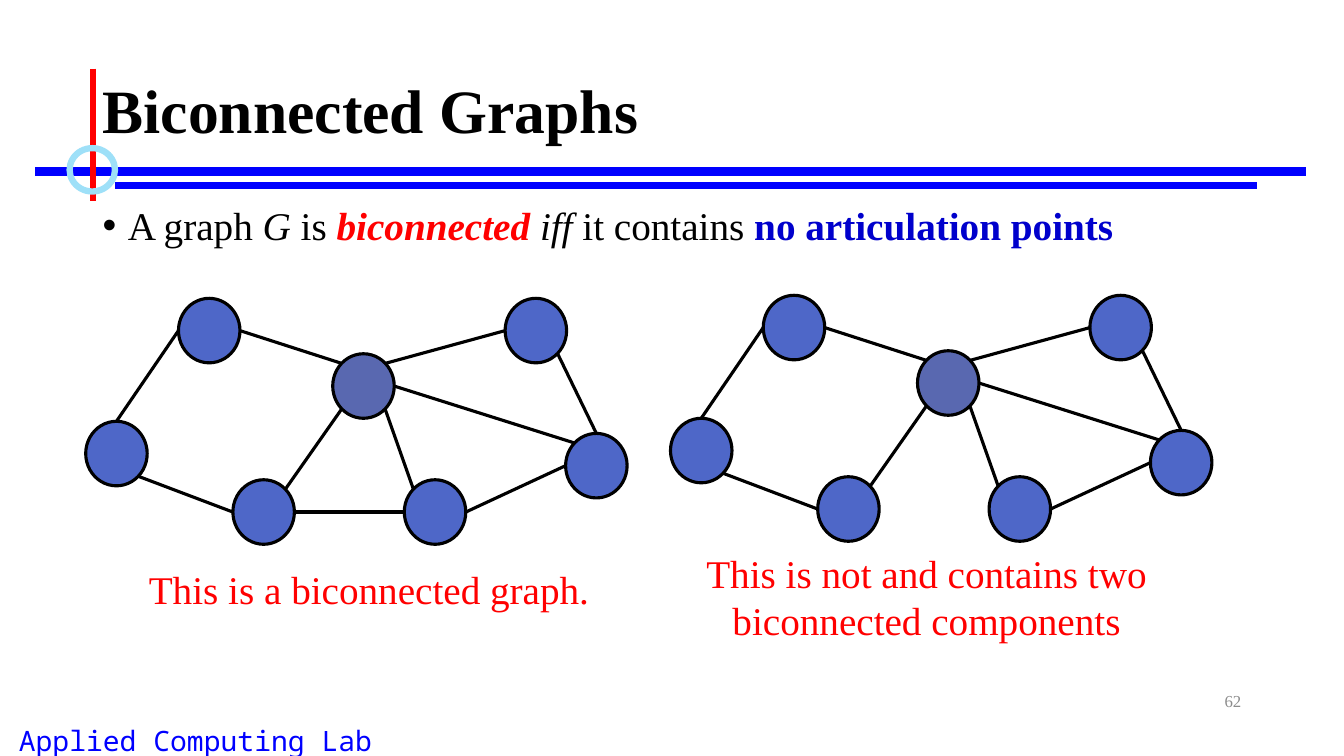
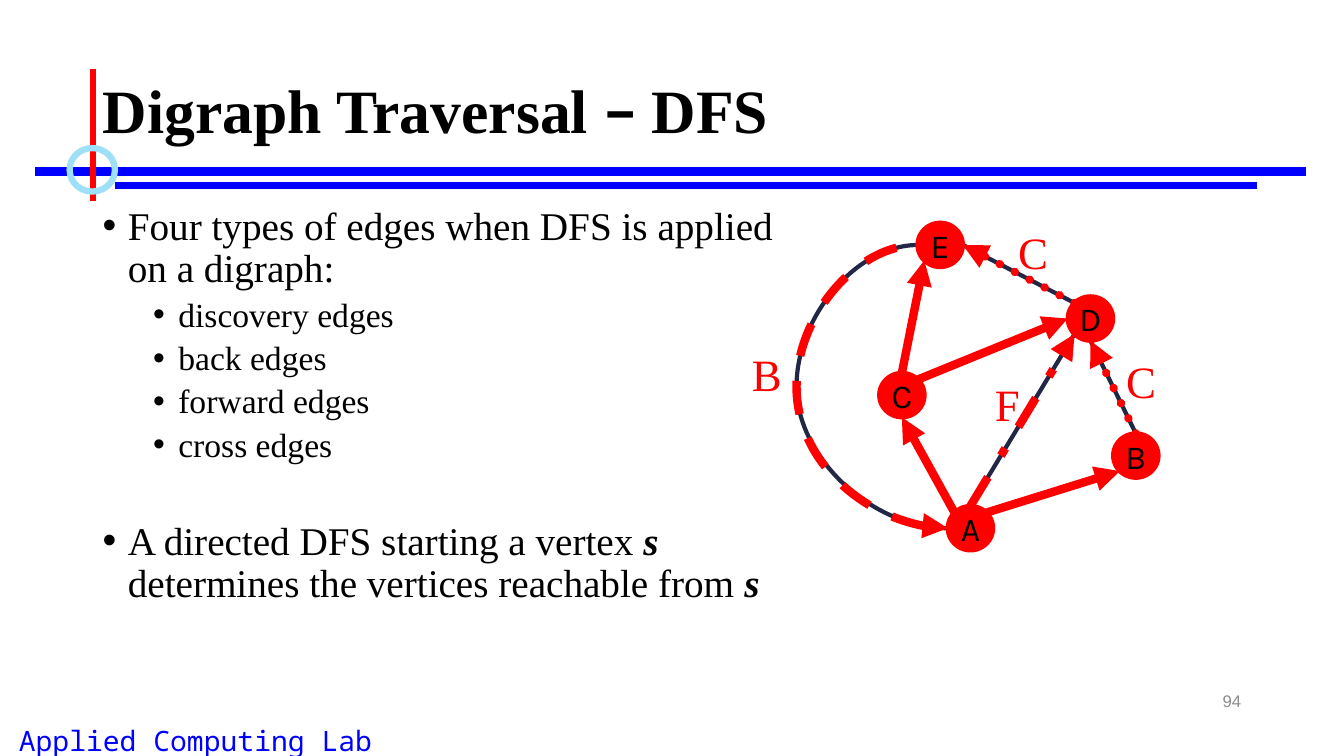
from lxml.etree import SubElement
from pptx import Presentation
from pptx.dml.color import RGBColor
from pptx.enum.dml import MSO_LINE as Dash
from pptx.enum.shapes import MSO_CONNECTOR as Connector, MSO_SHAPE as Preset
from pptx.enum.text import MSO_ANCHOR as Anchor, PP_ALIGN as Align
from pptx.oxml.ns import qn
from pptx.util import Inches, Pt

COLORS = {
    "black": "000000", "red": "FF0000", "blue": "0000FF", "navy": "0000CC",
    "ring": "9EE0F8", "node": "4E67C8", "hub": "5968B0", "ink": "212745", "gray": "8C8C8C",
}
SERIF, SANS, LABEL, MONO = "Times New Roman", "Arial", "Karla", "Noto Sans Mono"
NEAR, FAR = 0.15, 0.85
SITES = {
    "n": (0.5, 0), "ne": (FAR, NEAR), "e": (1, 0.5), "se": (FAR, FAR),
    "s": (0.5, 1), "sw": (NEAR, FAR), "w": (0, 0.5), "nw": (NEAR, NEAR),
}


class Deck:
    """Holds the shared style and the current slide, and draws each kind of element."""

    def __init__(self):
        self.presentation = Presentation()
        self.presentation.slide_width = Inches(13.33)
        self.presentation.slide_height = Inches(7.5)

    def new_slide(self, title, number, number_font):
        layout = self.presentation.slide_layouts[6]
        self.slide = self.presentation.slides.add_slide(layout)
        self.text((0, 7.13, 3.88, 0.37), ["Applied Computing Lab"], 20, "blue", MONO, Align.CENTER)
        self.line((0.35, 1.7), (12.95, 1.7), "blue", 6)
        self.line((1.14, 1.84), (12.47, 1.84), "blue", 4.5)
        self.line((0.92, 0.68), (0.92, 1.99), "red", 4.5)
        self.ellipse((0.69, 1.47, 0.45, 0.43), None, "ring", 4.5)
        heading = self.text((0.92, 0.4, 11.5, 1.45), [title], 44, anchor=Anchor.MIDDLE)
        heading.paragraphs[0].font.bold = True
        heading.paragraphs[0].line_spacing = 0.9
        self.text((9.41, 6.75, 3, 0.4), [str(number)], 12, "gray", number_font,
                  Align.RIGHT, Anchor.MIDDLE)

    def color(self, name):
        return RGBColor.from_string(COLORS[name])

    def style(self, font, size, color, name):
        font.size, font.name = Pt(size), name
        font.color.rgb = self.color(color)

    def add_runs(self, paragraph, runs):
        for part in [runs] if isinstance(runs, str) else runs:
            words, look = (part, {}) if isinstance(part, str) else part
            run = paragraph.add_run()
            run.text = words
            for key, value in look.items():
                if key == "color":
                    run.font.color.rgb = self.color(value)
                else:
                    setattr(run.font, key, value)

    def text(self, box, lines, size, color="black", name=SERIF,
             align=Align.LEFT, anchor=Anchor.TOP):
        frame = self.slide.shapes.add_textbox(*map(Inches, box)).text_frame
        frame.word_wrap = True
        frame.vertical_anchor = anchor
        for index, runs in enumerate(lines):
            paragraph = frame.add_paragraph() if index else frame.paragraphs[0]
            paragraph.alignment = align
            self.style(paragraph.font, size, color, name)
            self.add_runs(paragraph, runs)
        return frame

    def bullets(self, box, items):
        frame = self.slide.shapes.add_textbox(*map(Inches, box)).text_frame
        frame.word_wrap = True
        for index, (level, before, runs) in enumerate(items):
            paragraph = frame.add_paragraph() if index else frame.paragraphs[0]
            paragraph.level = level
            properties = paragraph._p.get_or_add_pPr()
            properties.set("marL", str(Inches(0.25 + 0.5 * level)))
            properties.set("indent", str(Inches(-0.25)))
            SubElement(properties, qn("a:buFont"), typeface=SANS)
            SubElement(properties, qn("a:buChar"), char="•")
            paragraph.line_spacing = 0.9
            paragraph.space_before = Pt(before)
            self.style(paragraph.font, 28 - 4 * level, "black", SERIF)
            self.add_runs(paragraph, runs)

    def ellipse(self, box, fill, outline, width, label=""):
        shape = self.slide.shapes.add_shape(Preset.OVAL, *map(Inches, box))
        shape.shadow.inherit = False
        if fill:
            shape.fill.solid()
            shape.fill.fore_color.rgb = self.color(fill)
        else:
            shape.fill.background()
        shape.line.color.rgb = self.color(outline)
        shape.line.width = Pt(width)
        if label:
            frame = shape.text_frame
            frame.word_wrap = False
            frame.vertical_anchor = Anchor.MIDDLE
            paragraph = frame.paragraphs[0]
            paragraph.alignment = Align.CENTER
            self.style(paragraph.font, 24, "black", LABEL)
            self.add_runs(paragraph, label)

    def line(self, start, end, color, width, dash=None, arrow=None, kind=Connector.STRAIGHT):
        connector = self.slide.shapes.add_connector(kind, *map(Inches, (*start, *end)))
        connector.line.color.rgb = self.color(color)
        connector.line.width = Pt(width)
        outline = connector.line._get_or_add_ln()
        if dash:
            connector.line.dash_style = dash
        if dash == Dash.ROUND_DOT:
            outline.set("cap", "rnd")
        if arrow:
            SubElement(outline, qn(f"a:{arrow}"), type="triangle")
        SubElement(connector._element.spPr, qn("a:effectLst"))
        return connector

    def back_curve(self, start, end, bulge, color, width, dash=None, arrow=None):
        curve = self.line(end, start, color, width, dash, arrow, Connector.CURVE)
        properties = curve._element.spPr
        properties.find(qn("a:xfrm")).set("rot", "10800000")
        guides = properties.find(qn("a:prstGeom")).get_or_add_avLst()
        ratio = round(100000 * bulge / (start[0] - end[0]))
        SubElement(guides, qn("a:gd"), name="adj1", fmla=f"val {ratio}")


def site(box, name):
    left, top, width, height = box
    across, down = SITES[name]
    return left + across * width, top + down * height


def draw_undirected(deck, left, top, edges):
    places = {
        "upper left": (0.92, 0), "left": (0, 1.22), "lower left": (1.46, 1.8),
        "hub": (2.45, 0.55), "lower right": (3.16, 1.8), "right": (4.76, 1.34),
        "upper right": (4.16, 0),
    }
    boxes = {name: (left + x, top + y, 0.61, 0.64) for name, (x, y) in places.items()}
    for name, box in boxes.items():
        deck.ellipse(box, "hub" if name == "hub" else "node", "black", 2.25)
    for first, first_site, second, second_site in edges:
        deck.line(site(boxes[first], first_site), site(boxes[second], second_site), "black", 2.25)


def draw_digraph(deck):
    places = {"A": (9.4, 5.02), "C": (8.72, 3.7), "E": (9.1, 2.21),
              "B": (11.04, 4.3), "D": (10.59, 2.94)}
    boxes = {name: (*place, 0.45, 0.44) for name, place in places.items()}
    edges = [
        ("A", "nw", "C", "s", None), ("A", "ne", "B", "sw", None),
        ("C", "n", "E", "sw", None), ("C", "ne", "D", "w", None),
        ("D", "nw", "E", "e", Dash.ROUND_DOT), ("B", "n", "D", "s", Dash.ROUND_DOT),
        ("A", "n", "D", "sw", Dash.DASH_DOT),
    ]
    routes = [(site(boxes[first], first_site), site(boxes[second], second_site), dash)
              for first, first_site, second, second_site, dash in edges]
    loop = site(boxes["A"], "w"), site(boxes["E"], "w"), 1.5
    deck.back_curve(*loop, "ink", 3)
    for start, end, dash in routes:
        if dash:
            deck.line(start, end, "ink", 3)
    for name, box in boxes.items():
        deck.ellipse(box, "red", "red", 3, name)
    deck.back_curve(*loop, "red", 6, Dash.DASH, "headEnd")
    for start, end, dash in routes:
        deck.line(start, end, "red", 6, dash, "tailEnd")


def biconnected_slide(deck):
    deck.new_slide("Biconnected Graphs", 62, SERIF)
    deck.bullets((0.92, 2, 11.5, 4.76), [(0, 0, [
        "A graph ", ("G", {"italic": True}), " is ",
        ("biconnected ", {"color": "red", "bold": True, "italic": True}),
        ("iff", {"italic": True}), " it contains ",
        ("no articulation points", {"color": "navy", "bold": True}),
    ])])
    shared_edges = [
        ("upper left", "w", "left", "n"), ("upper left", "e", "hub", "nw"),
        ("hub", "sw", "lower left", "ne"), ("lower left", "w", "left", "se"),
        ("hub", "se", "lower right", "nw"), ("hub", "ne", "upper right", "w"),
        ("upper right", "se", "right", "n"), ("right", "w", "lower right", "e"),
        ("hub", "e", "right", "nw"),
    ]
    bridge = ("lower right", "w", "lower left", "e")
    draw_undirected(deck, 6.65, 2.93, shared_edges)
    draw_undirected(deck, 0.85, 2.96, shared_edges + [bridge])
    deck.text((1.16, 5.56, 5, 0.57), ["This is a biconnected graph."], 28, "red",
              align=Align.CENTER)
    deck.text((6.69, 5.4, 5, 1.04), ["This is not and contains two", "biconnected components"],
              28, "red", align=Align.CENTER)


def digraph_slide(deck):
    deck.new_slide(["Digraph Traversal ", ("–", {"name": LABEL}), " DFS"], 94, SANS)
    vertex = ("s", {"bold": True, "italic": True})
    kinds = ("discovery", "back", "forward", "cross")
    deck.bullets((0.92, 2, 6.85, 4.76), [
        (0, 0, "Four types of edges when DFS is applied on a digraph:"),
        *((1, 5, f"{kind} edges") for kind in kinds),
        (0, 41, ["A directed DFS starting a vertex ", vertex,
                 " determines the vertices reachable from ", vertex]),
    ])
    draw_digraph(deck)
    for letter, left, top in (("B", 7.36, 3.39), ("C", 10, 2.18),
                              ("C", 11.07, 3.46), ("F", 9.77, 3.69)):
        deck.text((left, top, 0.5, 0.64), [letter], 32, "red")


def main():
    deck = Deck()
    biconnected_slide(deck)
    digraph_slide(deck)
    deck.presentation.save("out.pptx")


if __name__ == "__main__":
    main()
